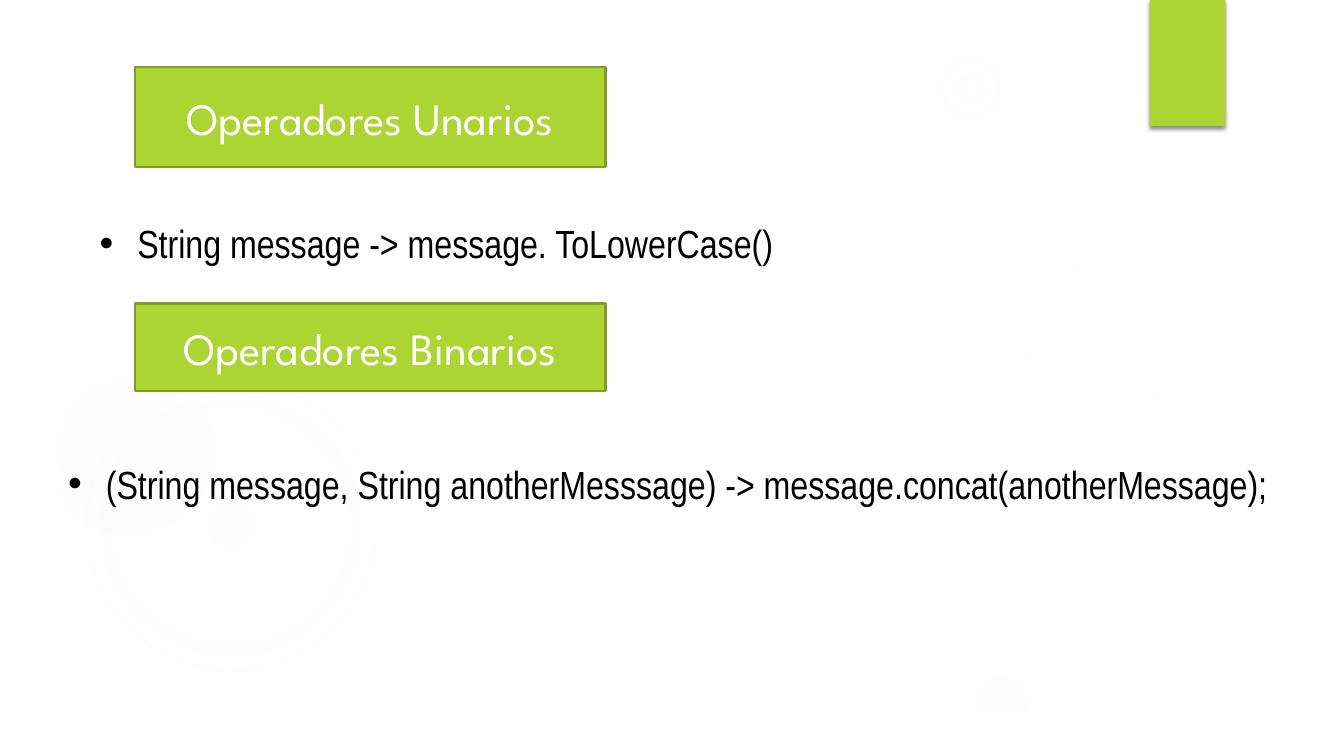
from typing import NamedTuple

from pptx import Presentation
from pptx.dml.color import RGBColor
from pptx.enum.shapes import MSO_SHAPE as Shape
from pptx.enum.text import MSO_ANCHOR as Anchor, MSO_AUTO_SIZE as Auto, PP_ALIGN as Align
from pptx.oxml import parse_xml
from pptx.oxml.ns import nsdecls, qn
from pptx.util import Cm, Pt

LIME = RGBColor(0xAC, 0xD4, 0x33)
OLIVE = RGBColor(0x7F, 0x9D, 0x26)
WHITE = RGBColor(0xFF, 0xFF, 0xFF)
BLACK = RGBColor(0x00, 0x00, 0x00)
MIST = RGBColor(0xF7, 0xF7, 0xF7)

WIDE, HIGH, EDGE = 33.87, 19.05, 1.32
HANG = 0.95


class Glow(NamedTuple):
    left: float
    top: float
    size: float
    alpha: tuple[int, int]
    fade: int


class Head(NamedTuple):
    top: float
    high: float
    text: str


class Item(NamedTuple):
    left: float
    top: float
    wide: float
    high: float
    wrap: bool
    text: str


GLOWS = [
    Glow(0, 7.42, 11.63, (11, 10), 75),
    Glow(0, 8.05, 6.55, (8, 8), 72),
    Glow(23.9, 4.65, 7.82, (7, 6), 69),
    Glow(22.23, 0, 4.45, (14, 7), 73),
    Glow(23.9, 16.31, 2.74, (14, 7), 66),
]
HEADS = [
    Head(1.7, 2.51, "Operadores Unarios"),
    Head(7.65, 2.21, "Operadores Binarios"),
]
ITEMS = [
    Item(2.26, 4.8, 17.65, 1.85, False, "String message -> message. ToLowerCase()"),
    Item(1.47, 10.87, 30.78, 2.06, True,
         "(String message, String anotherMesssage) -> message.concat(anotherMessage);"),
]


def add_block(slide, kind: Shape, left: float, top: float, wide: float, high: float):
    block = slide.shapes.add_shape(kind, Cm(left), Cm(top), Cm(wide), Cm(high))
    block.shadow.inherit = False
    block.line.fill.background()
    return block


def paint(shape, color: RGBColor) -> None:
    shape.fill.solid()
    shape.fill.fore_color.rgb = color


def style(part, face: str, size: int, color: RGBColor) -> None:
    for run in part.runs:
        run.font.name = face
        run.font.size = Pt(size)
        run.font.color.rgb = color


def add_glow(slide, glow: Glow) -> None:
    disc = add_block(slide, Shape.OVAL, glow.left, glow.top, glow.size, glow.size)
    stops = zip((0, 36, glow.fade), (*glow.alpha, 0))
    marks = "".join(
        f'<a:gs pos="{pos * 1000}"><a:srgbClr val="{MIST}">'
        f'<a:alpha val="{alpha * 1000}"/></a:srgbClr></a:gs>'
        for pos, alpha in stops
    )
    grad = parse_xml(
        f'<a:gradFill {nsdecls("a")}><a:gsLst>{marks}</a:gsLst><a:path path="circle">'
        '<a:fillToRect l="50000" t="50000" r="50000" b="50000"/></a:path></a:gradFill>'
    )
    disc.element.spPr.find(qn("a:prstGeom")).addnext(grad)


def add_frame(slide) -> None:
    right, base = WIDE - EDGE, HIGH - EDGE
    pen = slide.shapes.build_freeform(0, 0, Cm(1))
    pen.add_line_segments([(0, HIGH), (WIDE, HIGH), (WIDE, 0)])
    pen.move_to(right, base)
    pen.add_line_segments([(EDGE, base), (EDGE, EDGE), (right, EDGE)])
    frame = pen.convert_to_shape()
    frame.shadow.inherit = False
    frame.line.fill.background()
    paint(frame, WHITE)


def add_tab(slide) -> None:
    tab = add_block(slide, Shape.RECTANGLE, 28.98, 0, 1.9, 3.18)
    paint(tab, LIME)
    tab.element.spPr.find(qn("a:effectLst")).append(parse_xml(
        f'<a:outerShdw {nsdecls("a")} blurRad="{Pt(3)}" dist="{Pt(2)}" dir="5400000" '
        f'rotWithShape="0"><a:srgbClr val="{BLACK}"><a:alpha val="45000"/>'
        '</a:srgbClr></a:outerShdw>'
    ))


def add_head(slide, head: Head) -> None:
    box = add_block(slide, Shape.RECTANGLE, 3.4, head.top, 11.86, head.high)
    paint(box, LIME)
    box.line.color.rgb = OLIVE
    box.line.width = Pt(1.5)
    frame = box.text_frame
    frame.text = head.text
    frame.vertical_anchor = Anchor.MIDDLE
    part = frame.paragraphs[0]
    part.alignment = Align.CENTER
    style(part, "League Spartan", 32, WHITE)


def add_item(slide, item: Item) -> None:
    box = slide.shapes.add_textbox(Cm(item.left), Cm(item.top), Cm(item.wide), Cm(item.high))
    frame = box.text_frame
    frame.text = item.text
    frame.word_wrap = item.wrap
    frame.auto_size = Auto.SHAPE_TO_FIT_TEXT
    part = frame.paragraphs[0]
    part.alignment = Align.JUSTIFY
    part.line_spacing = 1.5
    part.space_after = Pt(10)
    style(part, "Arial Narrow", 28, BLACK)
    props = part._p.get_or_add_pPr()
    props.set("marL", str(Cm(HANG)))
    props.set("indent", str(-Cm(HANG)))
    props.append(parse_xml(f'<a:buFont {nsdecls("a")} typeface="Arial"/>'))
    props.append(parse_xml(f'<a:buChar {nsdecls("a")} char="•"/>'))


def main() -> None:
    deck = Presentation()
    deck.slide_width, deck.slide_height = Cm(WIDE), Cm(HIGH)
    slide = deck.slides.add_slide(deck.slide_layouts[6])
    for glow in GLOWS:
        add_glow(slide, glow)
    add_frame(slide)
    add_tab(slide)
    for head, item in zip(HEADS, ITEMS):
        add_head(slide, head)
        add_item(slide, item)
    deck.save("out.pptx")


if __name__ == "__main__":
    main()
